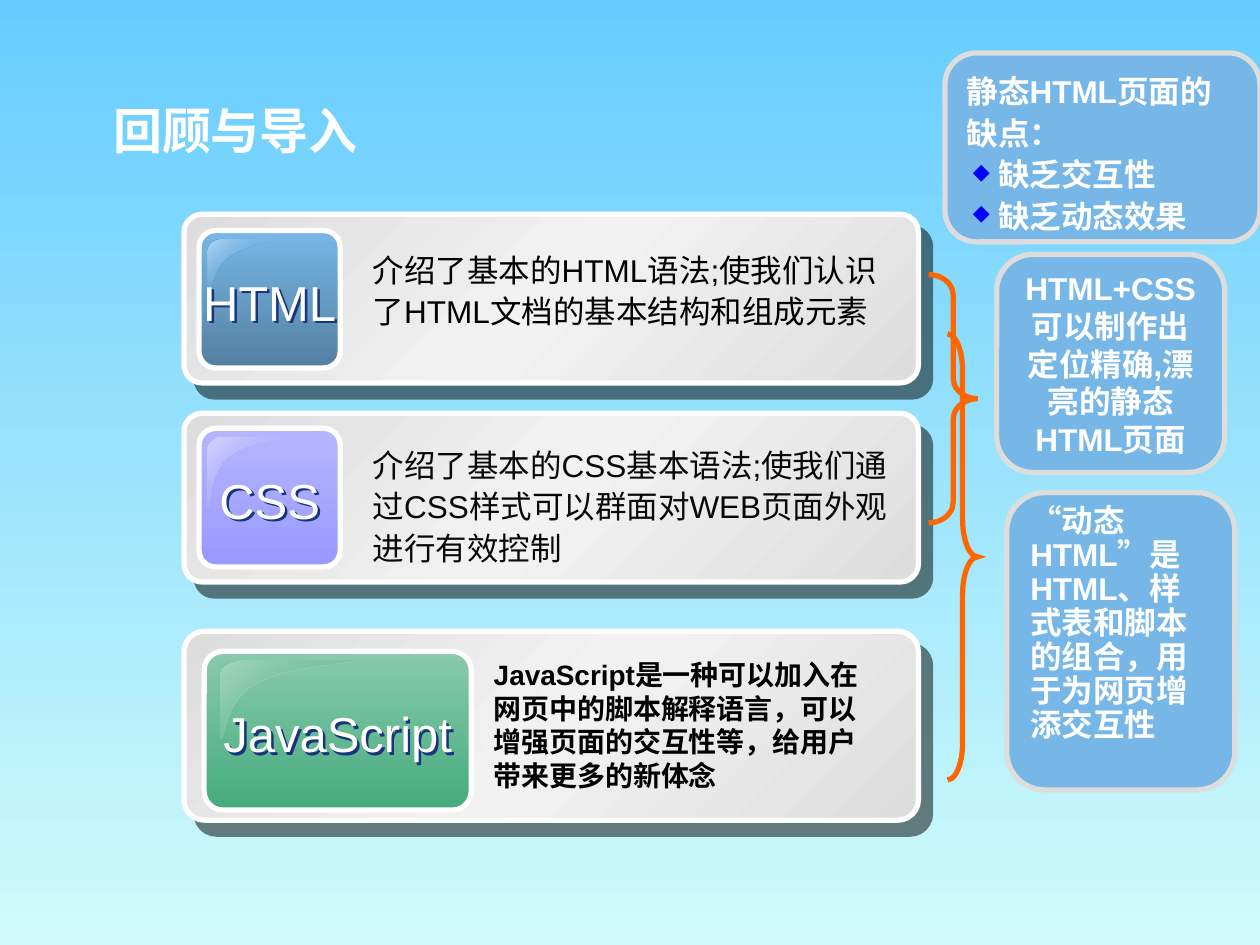
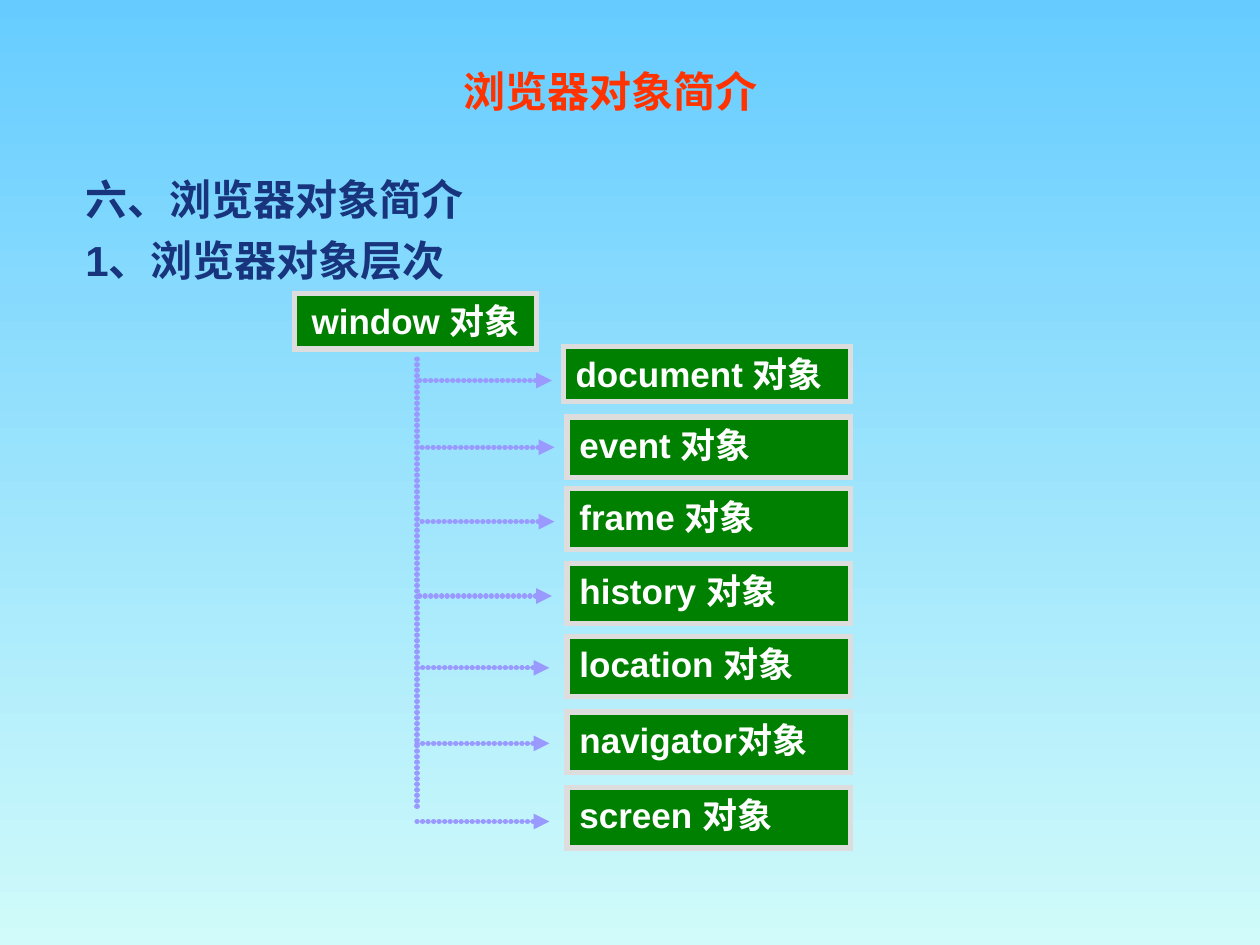
from copy import deepcopy

from lxml.etree import SubElement
from pptx import Presentation
from pptx.dml.color import RGBColor
from pptx.enum.shapes import MSO_CONNECTOR, MSO_SHAPE
from pptx.enum.text import MSO_ANCHOR, PP_ALIGN
from pptx.oxml.ns import qn
from pptx.util import Inches, Pt

SKY = RGBColor(0x66, 0xCC, 0xFF)
MIST = RGBColor(0xD0, 0xFB, 0xFA)
WHITE = RGBColor(0xFF, 0xFF, 0xFF)
BLACK = RGBColor(0x00, 0x00, 0x00)
INK = RGBColor(0x08, 0x08, 0x08)
NAVY = RGBColor(0x17, 0x34, 0x7D)
RED = RGBColor(0xFF, 0x33, 0x00)
ORANGE = RGBColor(0xFF, 0x66, 0x00)
GREEN = RGBColor(0x00, 0x80, 0x00)
LILAC = RGBColor(0x99, 0x99, 0xFF)
SILVER = RGBColor(0xDD, 0xDD, 0xDD)
PEARL = RGBColor(0xF2, 0xF2, 0xF2)
BLUE = RGBColor(0x77, 0xB7, 0xE7)
DEEP_BLUE = RGBColor(0x53, 0x80, 0xA1)
PALE_BLUE = RGBColor(0xB5, 0xD8, 0xF2)
VIOLET = RGBColor(0xB5, 0xB5, 0xFF)
PALE_VIOLET = RGBColor(0xD4, 0xD4, 0xFF)
JADE = RGBColor(0x89, 0xCA, 0xAC)
DEEP_JADE = RGBColor(0x45, 0xAB, 0x7D)
PALE_JADE = RGBColor(0xA5, 0xD6, 0xC0)
BULLET_BLUE = RGBColor(0x00, 0x00, 0xFF)

DOWN, DIAGONAL = 270, 315


def write(sp, text, size=18, color=WHITE, bold=False, font="Arial", align=PP_ALIGN.LEFT,
          anchor=MSO_ANCHOR.TOP, wrap=True, spacing=None, before=0, bullets=False):
    """Fill a shape with one paragraph per line of text."""
    tf = sp.text_frame
    tf.word_wrap = wrap
    tf.vertical_anchor = anchor
    for i, line in enumerate(text.split("\n")):
        p = tf.paragraphs[0] if i == 0 else tf.add_paragraph()
        p.alignment = align
        if spacing:
            p.line_spacing = spacing
        if i and before:
            p.space_before = Pt(before)
        if i and bullets:
            add_bullet(p)
        r = p.add_run()
        r.text = line
        r.font.size, r.font.bold, r.font.name = Pt(size), bold, font
        r.font.color.rgb = color


def add_bullet(p):
    """Give a paragraph a blue diamond bullet."""
    pPr = p._p.get_or_add_pPr()
    pPr.set("marL", str(Inches(0.25)))
    pPr.set("indent", str(-Inches(0.2)))
    SubElement(SubElement(pPr, qn("a:buClr")), qn("a:srgbClr"), val=str(BULLET_BLUE))
    SubElement(pPr, qn("a:buSzPct"), val="70000")
    SubElement(pPr, qn("a:buChar"), char="◆")


def add_shadow(sp, color, distance, angle, opacity):
    """Give a shape a hard offset shadow."""
    sp.shadow.inherit = False
    effects = sp._element.spPr.find(qn("a:effectLst"))
    shadow = SubElement(effects, qn("a:outerShdw"), blurRad="0", dist=str(Pt(distance)),
                        dir=str(angle * 60000), algn="ctr", rotWithShape="0")
    clr = SubElement(shadow, qn("a:srgbClr"), val=str(color))
    SubElement(clr, qn("a:alpha"), val=str(opacity * 1000))


def set_gradient(fill, angle, *colors):
    """Apply a gradient of two or three evenly spaced colours."""
    fill.gradient()
    fill.gradient_angle = angle
    if len(colors) == 3:
        first = fill.gradient_stops[0]._gs
        first.addnext(deepcopy(first))
        fill.gradient_stops[1].position = 0.5
    for stop, color in zip(fill.gradient_stops, colors):
        stop.color.rgb = color


def add_box(slide, kind, box, fill=None, line=None, adj=None):
    """Add a preset shape with a mitred 3 pt outline and no shadow."""
    sp = slide.shapes.add_shape(kind, *map(Inches, box))
    sp.shadow.inherit = False
    if fill is None:
        sp.fill.background()
    else:
        sp.fill.solid()
        sp.fill.fore_color.rgb = fill
    sp.line.color.rgb = line
    sp.line.width = Pt(3)
    SubElement(sp.line._get_or_add_ln(), qn("a:miter"), lim="800000")
    if adj is not None:
        sp.adjustments[0] = adj
    return sp


def add_text(slide, box, text, **fmt):
    """Add a formatted text box."""
    sp = slide.shapes.add_textbox(*map(Inches, box))
    write(sp, text, **fmt)
    return sp


def bezier(a, b, c, d, steps=10):
    """Return points along a cubic curve, without its start."""
    ts = [i / steps for i in range(1, steps + 1)]
    return [tuple((1 - t) ** 3 * p + 3 * (1 - t) ** 2 * t * q + 3 * (1 - t) * t * t * r + t ** 3 * s
                  for p, q, r, s in zip(a, b, c, d)) for t in ts]


def add_gloss(slide, box, colors):
    """Draw the curved highlight in the corner of a badge."""
    x, y, w, h = box
    outline = [(0.2, 0), *bezier((0.2, 0), (0.09, 0), (0, 0.08), (0, 0.19)), (0, 0.98),
               *bezier((0, 0.98), (0.04, 1), (0.02, 0.51), (0.27, 0.29)),
               *bezier((0.27, 0.29), (0.52, 0.06), (1, 0.04), (0.99, 0))]
    pts = [(Inches(x + u * w), Inches(y + v * h)) for u, v in outline]
    builder = slide.shapes.build_freeform(*pts[0])
    builder.add_line_segments(pts[1:], close=True)
    sp = builder.convert_to_shape()
    sp.shadow.inherit = False
    sp.line.fill.background()
    set_gradient(sp.fill, DIAGONAL, *colors)
    clear = sp.fill.gradient_stops[1]._gs.find(qn("a:srgbClr"))
    SubElement(clear, qn("a:alpha"), val="0")


def add_card(slide, box, badge, label, colors, gloss, body, text, **fmt):
    """Draw a silver card with a glossy badge and a description."""
    x, y, _, _ = box
    card = add_box(slide, MSO_SHAPE.ROUNDED_RECTANGLE, box, SILVER, WHITE, 0.109)
    set_gradient(card.fill, DIAGONAL, SILVER, PEARL, SILVER)
    add_shadow(card, BLACK, 10.6, 49, 50)
    dx, dy, w, h = badge
    bx, by = x + dx, y + dy
    tile = add_box(slide, MSO_SHAPE.ROUNDED_RECTANGLE, (bx, by, w, h), colors[0], WHITE, 0.119)
    set_gradient(tile.fill, DOWN, *colors)
    add_gloss(slide, (bx + w / 16, by + 0.07, w / 2, h / 2), gloss)
    name = add_text(slide, (bx - 0.1, by + (h - 0.57) / 2 + 0.02, w + 0.2, 0.57), label, size=28,
                    align=PP_ALIGN.CENTER, wrap=False)
    add_shadow(name, NAVY, 2, 45, 100)
    dx, dy, w, h = body
    add_text(slide, (x + dx, y + dy, w, h), text, **fmt)


def add_note(slide, box, text, top=0.05, **fmt):
    """Draw a rounded blue note."""
    sp = add_box(slide, MSO_SHAPE.ROUNDED_RECTANGLE, box, BLUE, SILVER, 0.167)
    sp.text_frame.margin_top = Inches(top)
    write(sp, text, bold=True, **fmt)


def add_line(slide, x1, y1, x2, y2, arrow=False):
    """Draw a lilac line of close round dots, with an arrowhead if asked."""
    cn = slide.shapes.add_connector(MSO_CONNECTOR.STRAIGHT, *map(Inches, (x1, y1, x2, y2)))
    cn.line.color.rgb = LILAC
    cn.line.width = Pt(3)
    ln = cn.line._get_or_add_ln()
    ln.set("cap", "rnd")
    SubElement(SubElement(ln, qn("a:custDash")), qn("a:ds"), d="100000", sp="5000")
    if arrow:
        SubElement(ln, qn("a:tailEnd"), type="triangle")
    SubElement(cn._element.spPr, qn("a:effectLst"))


def new_slide(prs, title, box, **fmt):
    """Add a slide with the sky background and a bold title."""
    slide = prs.slides.add_slide(prs.slide_layouts[6])
    set_gradient(slide.background.fill, DOWN, SKY, MIST)
    add_text(slide, box, title, bold=True, font="DejaVu Sans", anchor=MSO_ANCHOR.MIDDLE, **fmt)
    return slide


def build_review(prs):
    """Build the review slide: three cards, braces and notes."""
    slide = new_slide(prs, "回顾与导入", (0.8, 0.72, 8.53, 0.62), size=28)
    add_card(slide, (1.46, 1.7, 5.83, 1.34), (0.12, 0.13, 1.12, 1.09), "HTML",
             (BLUE, DEEP_BLUE), (PALE_BLUE, BLUE, PALE_BLUE), (1.4, 0.21, 4.29, 1.09),
             "介绍了基本的HTML语法;使我们认识了HTML文档的基本结构和组成元素",
             color=BLACK, spacing=1.1)
    add_card(slide, (1.46, 3.28, 5.83, 1.34), (0.12, 0.12, 1.12, 1.1), "CSS",
             (VIOLET, LILAC), (PALE_VIOLET, LILAC), (1.4, 0.18, 4.29, 1.09),
             "介绍了基本的CSS基本语法;使我们通过CSS样式可以群面对WEB页面外观进行有效控制",
             color=INK, spacing=1.1)
    add_card(slide, (1.46, 5.01, 5.83, 1.5), (0.16, 0.16, 2.12, 1.26), "JavaScript",
             (JADE, DEEP_JADE), (PALE_JADE, DEEP_JADE), (2.36, 0.16, 3.15, 1.17),
             "JavaScript是一种可以加入在网页中的脚本解释语言，可以增强页面的交互性等，给用户带来更多的新体念",
             color=BLACK, size=16, bold=True)
    add_box(slide, MSO_SHAPE.RIGHT_BRACE, (7.37, 2.18, 0.39, 1.97), line=ORANGE, adj=0.42)
    add_note(slide, (7.91, 2.02, 1.81, 1.73), "HTML+CSS 可以制作出定位精确,漂亮的静态HTML页面",
             align=PP_ALIGN.CENTER, anchor=MSO_ANCHOR.MIDDLE)
    add_note(slide, (7.5, 0.42, 2.5, 1.5), "静态HTML页面的缺点：\n缺乏交互性\n缺乏动态效果",
             spacing=1.1, bullets=True)
    add_box(slide, MSO_SHAPE.RIGHT_BRACE, (7.52, 2.65, 0.24, 3.54), line=ORANGE, adj=1.23)
    add_note(slide, (7.99, 3.91, 1.81, 2.36),
             "“动态 HTML”是 HTML、样式表和脚本的组合，用于为网页增添交互性", top=0.01, spacing=0.9)


def add_object(slide, box, name, **fmt):
    """Draw a green box naming a browser object."""
    sp = add_box(slide, MSO_SHAPE.RECTANGLE, box, GREEN, SILVER)
    write(sp, name, size=20, bold=True, wrap=False, **fmt)


def build_objects(prs):
    """Build the browser object tree."""
    slide = new_slide(prs, "浏览器对象简介", (0.58, 0.41, 8.53, 0.62), size=24, color=RED,
                      align=PP_ALIGN.CENTER)
    add_text(slide, (0.58, 1.33, 8.75, 1.08), "六、浏览器对象简介\n1、浏览器对象层次",
             size=24, color=NAVY, bold=True, before=6)
    spine = 3.31
    add_line(slide, spine, 2.85, spine, 6.44)
    add_object(slide, (2.34, 2.33, 1.92, 0.44), "window 对象", align=PP_ALIGN.CENTER)
    children = [("document 对象", (4.47, 2.75, 2.28, 0.44), 0.02, 3.02),
                ("event 对象", (4.5, 3.31, 2.25, 0.48), 0.04, 3.55),
                ("frame 对象", (4.5, 3.88, 2.25, 0.48), 0.04, 4.14),
                ("history 对象", (4.5, 4.47, 2.25, 0.48), 0.02, 4.73),
                ("location 对象", (4.5, 5.05, 2.25, 0.48), 0, 5.3),
                ("navigator对象", (4.5, 5.65, 2.25, 0.48), 0, 5.9),
                ("screen 对象", (4.5, 6.25, 2.25, 0.48), 0, 6.52)]
    for name, box, shift, y in children:
        add_line(slide, spine + shift, y, spine + shift + 1.05, y, arrow=True)
        add_object(slide, box, name)


def main():
    """Build and save the slides."""
    prs = Presentation()
    prs.slide_width, prs.slide_height = Inches(10), Inches(7.5)
    build_review(prs)
    build_objects(prs)
    prs.save("out.pptx")


if __name__ == "__main__":
    main()
